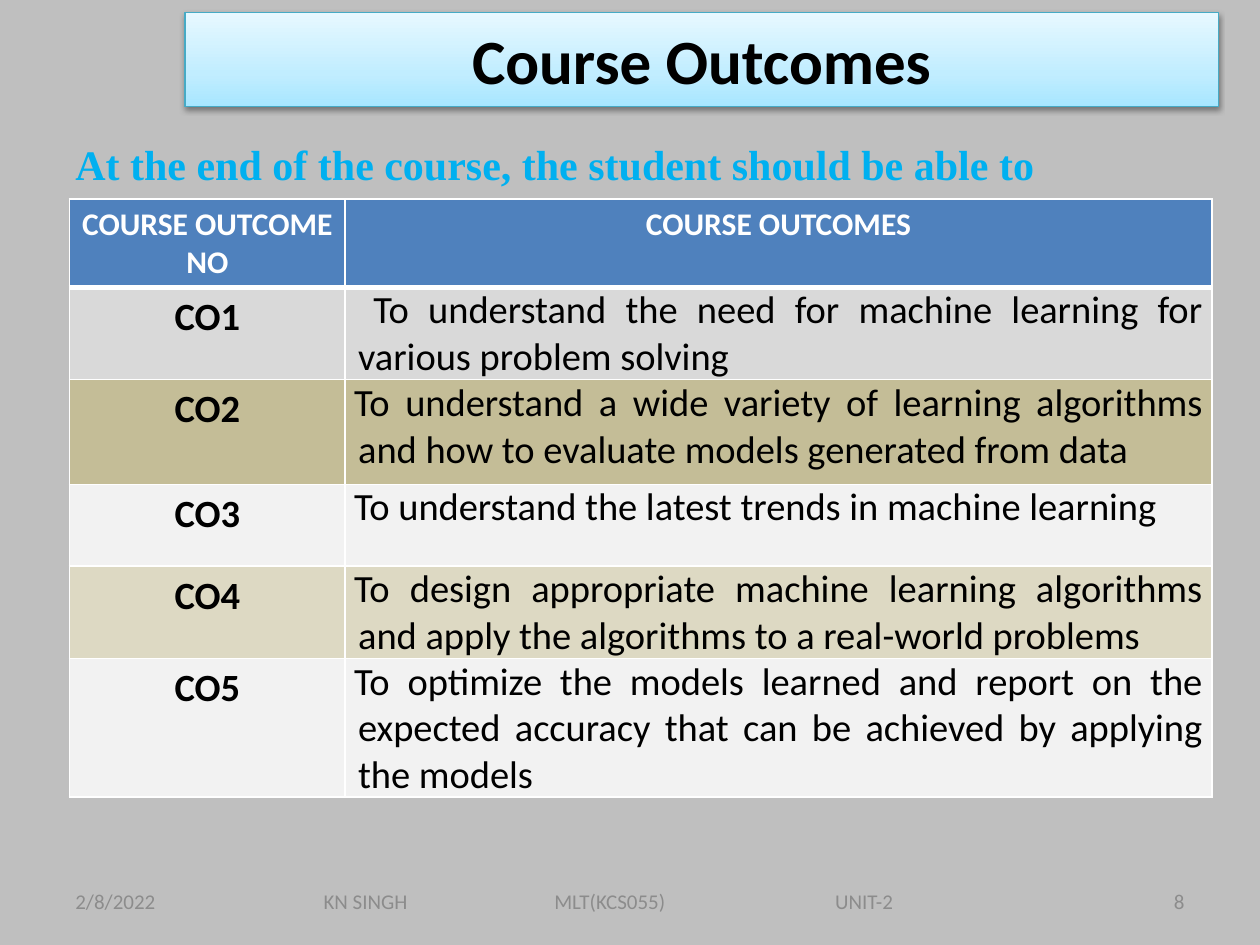
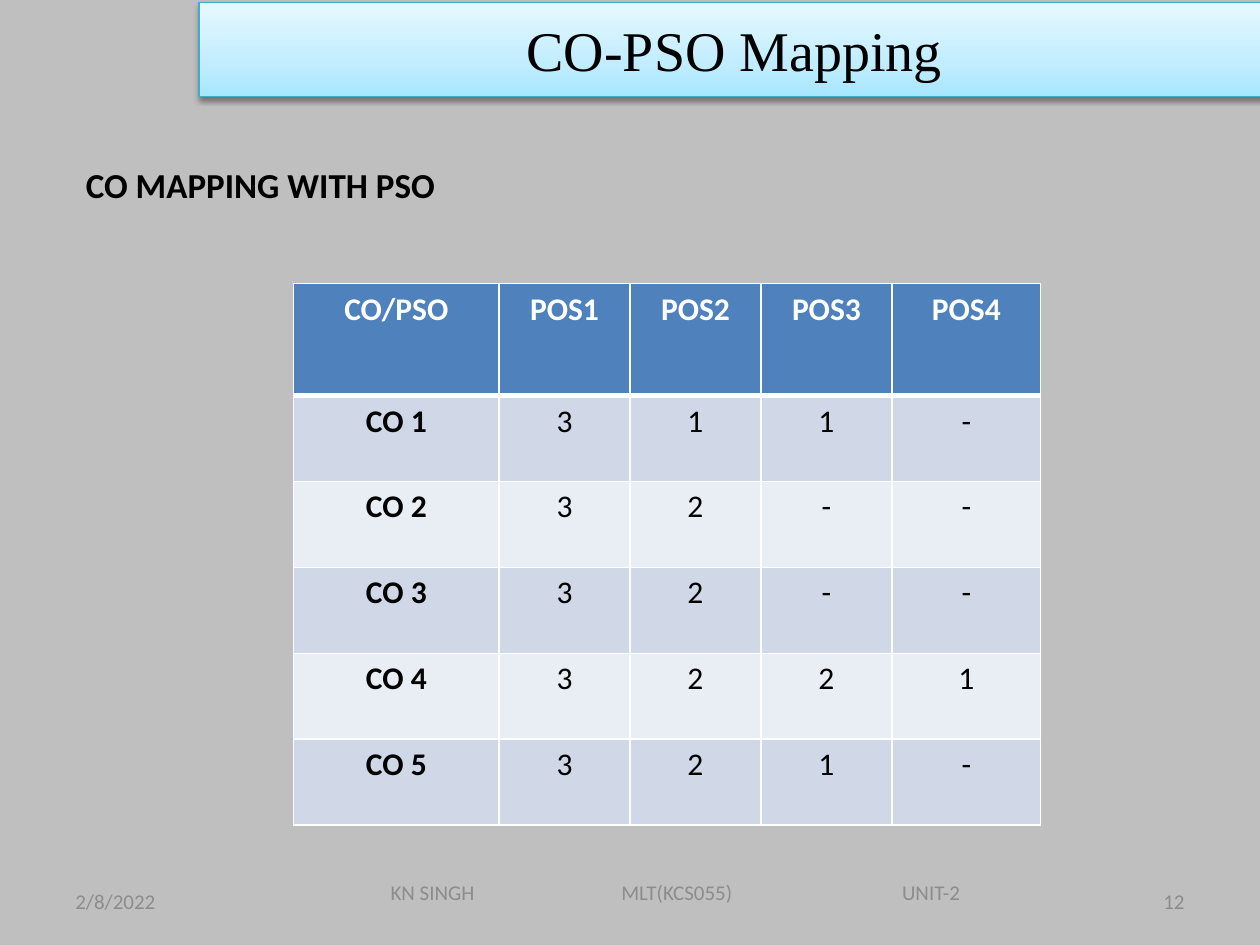
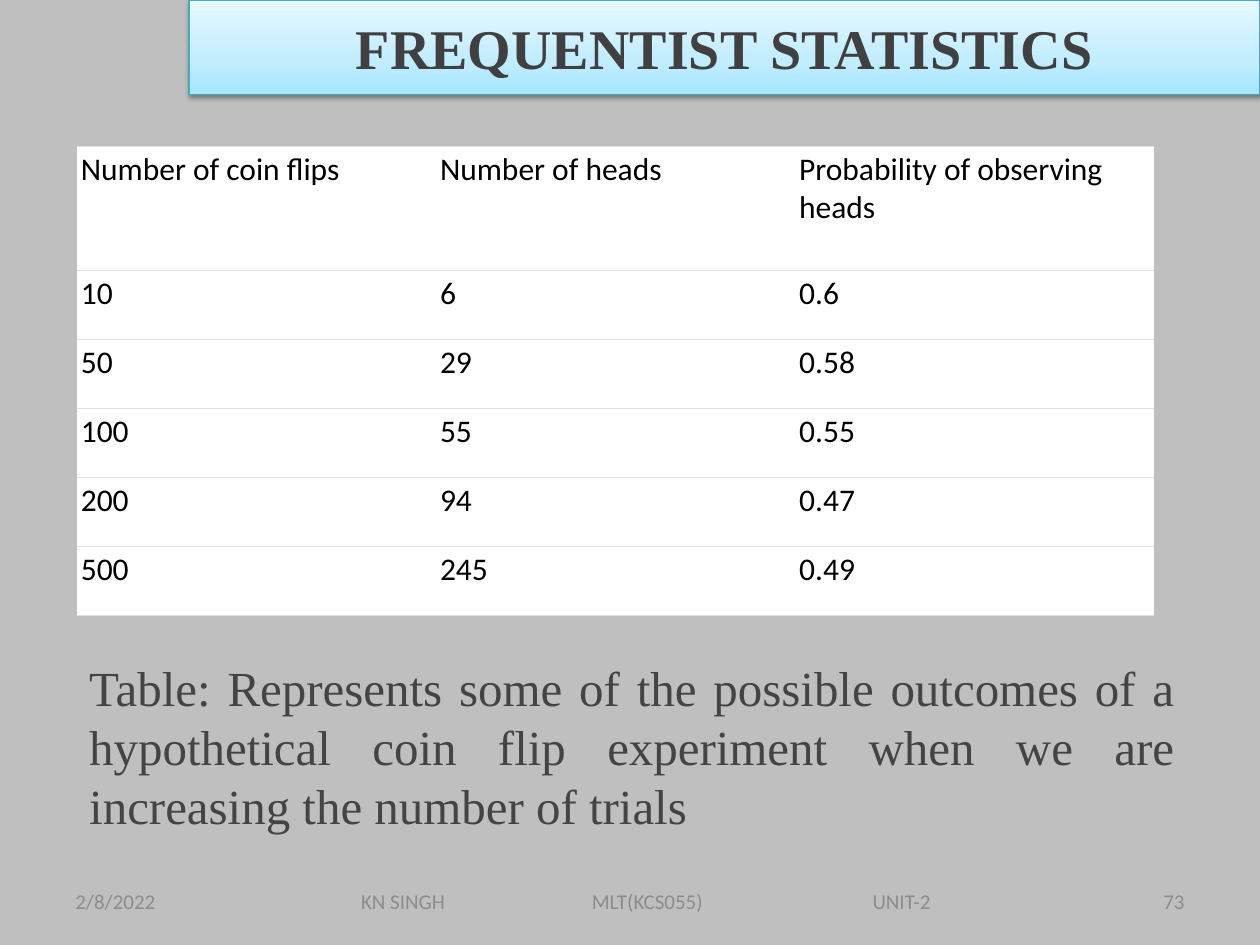
from copy import deepcopy

from pptx import Presentation
from pptx.dml.color import RGBColor
from pptx.enum import shapes, text
from pptx.oxml import parse_xml
from pptx.oxml.ns import nsdecls, qn
from pptx.util import Cm, Pt

# Shared look
BACKDROP = RGBColor(0xBF, 0xBF, 0xBF)
BLACK = RGBColor(0, 0, 0)
WHITE = RGBColor(0xFF, 0xFF, 0xFF)
FOOTER_GREY = RGBColor(0x8C, 0x8C, 0x8C)
TITLE_GREY = RGBColor(0x40, 0x40, 0x41)
CAPTION_GREY = RGBColor(0x44, 0x44, 0x44)
SKY = RGBColor(0x00, 0xB0, 0xF0)
BAND_LINE = RGBColor(0x46, 0xAA, 0xC5)
BAND_STOPS = [(0, RGBColor(0xA7, 0xE6, 0xFF)),
              (0.35, RGBColor(0xC1, 0xED, 0xFF)),
              (1, RGBColor(0xE7, 0xF8, 0xFF))]
HEADER_BLUE = RGBColor(0x4F, 0x81, 0xBD)
BAND_DARK = RGBColor(0xD0, 0xD8, 0xE8)
BAND_LIGHT = RGBColor(0xE9, 0xED, 0xF4)
RULE_GREY = RGBColor(0xDE, 0xE2, 0xE6)
SILVER = RGBColor(0xD9, 0xD9, 0xD9)
KHAKI = RGBColor(0xC4, 0xBD, 0x97)
PALE = RGBColor(0xF2, 0xF2, 0xF2)
SAND = RGBColor(0xDD, 0xD9, 0xC3)

SANS, SERIF = "Calibri", "Times New Roman"
LEFT, CENTER, RIGHT, JUSTIFY = (text.PP_ALIGN.LEFT, text.PP_ALIGN.CENTER,
                                text.PP_ALIGN.RIGHT, text.PP_ALIGN.JUSTIFY)

# Footer: three parts at fixed offsets, centred as a group (cm)
FOOTER_PARTS = ["KN SINGH", "MLT(KCS055)", "UNIT-2"]
FOOTER_TABS = [4.65, 10.31]
FOOTER_WIDTH = 11.48

OUTCOMES = [
    ("CO1", " To understand the need for machine learning for various problem solving", SILVER),
    ("CO2", "To understand a wide variety of learning algorithms and how to evaluate "
            "models generated from data", KHAKI),
    ("CO3", "To understand the latest trends in machine learning", PALE),
    ("CO4", "To design appropriate machine learning algorithms and apply the algorithms "
            "to a real-world problems", SAND),
    ("CO5", "To optimize the models learned and report on the expected accuracy that can "
            "be achieved by applying the models", PALE),
]
PSO_MAP = [
    ["CO/PSO", "POS1", "POS2", "POS3", "POS4"],
    ["CO 1", "3", "1", "1", "-"],
    ["CO 2", "3", "2", "-", "-"],
    ["CO 3", "3", "2", "-", "-"],
    ["CO 4", "3", "2", "2", "1"],
    ["CO 5", "3", "2", "1", "-"],
]
COIN_FLIPS = [
    ["Number of coin flips", "Number of heads", "Probability of observing heads"],
    ["10", "6", "0.6"],
    ["50", "29", "0.58"],
    ["100", "55", "0.55"],
    ["200", "94", "0.47"],
    ["500", "245", "0.49"],
]


def write(paragraph, words, size, color=BLACK, bold=False, font=SANS, align=LEFT):
    paragraph.alignment = align
    run = paragraph.add_run()
    run.text = words
    run.font.name, run.font.size, run.font.bold = font, Pt(size), bold
    run.font.color.rgb = color


def add_words(slide, box, words, size, anchor=text.MSO_ANCHOR.TOP, **style):
    frame = slide.shapes.add_textbox(*map(Cm, box)).text_frame
    frame.word_wrap = True
    frame.vertical_anchor = anchor
    write(frame.paragraphs[0], words, size, **style)
    return frame


def add_title_band(slide, box, title, size, **style):
    band = slide.shapes.add_shape(shapes.MSO_SHAPE.RECTANGLE, *map(Cm, box))
    band.line.color.rgb, band.line.width = BAND_LINE, Pt(0.75)
    # Three-stop gradient, light at the top
    band.fill.gradient()
    band.fill.gradient_angle = 90
    properties = band._element.spPr
    stop_list = properties.find(".//" + qn("a:gsLst"))
    stop_list.append(deepcopy(stop_list[0]))
    for stop, (position, color) in zip(band.fill.gradient_stops, BAND_STOPS):
        stop.position, stop.color.rgb = position, color
    # Soft shadow below
    band.shadow.inherit = False
    properties.find(qn("a:effectLst")).append(parse_xml(
        f'<a:outerShdw {nsdecls("a")} blurRad="{Pt(3.1)}" dist="{Pt(1.6)}" dir="5400000" '
        'rotWithShape="0"><a:srgbClr val="000000"><a:alpha val="38000"/></a:srgbClr>'
        '</a:outerShdw>'))
    band.text_frame.vertical_anchor = text.MSO_ANCHOR.MIDDLE
    write(band.text_frame.paragraphs[0], title, size, align=CENTER, **style)


def add_footer(slide, box, number):
    style = dict(size=12, color=FOOTER_GREY, anchor=text.MSO_ANCHOR.MIDDLE)
    add_words(slide, (1.27, 17.65, 5.92, 1.02), "2/8/2022", **style)
    add_words(slide, (18.21, 17.65, 5.92, 1.02), number, align=RIGHT, **style)
    frame = add_words(slide, box, "\t".join(FOOTER_PARTS), **style)
    frame.margin_left = Cm((box[2] - FOOTER_WIDTH) / 2)
    frame.margin_right = 0
    stops = "".join(f'<a:tab pos="{Cm(tab)}" algn="l"/>' for tab in FOOTER_TABS)
    frame.paragraphs[0]._p.get_or_add_pPr().append(
        parse_xml(f'<a:tabLst {nsdecls("a")}>{stops}</a:tabLst>'))


def add_grid(slide, left, top, widths, heights):
    grid = slide.shapes.add_table(len(heights), len(widths), Cm(left), Cm(top),
                                  Cm(sum(widths)), Cm(sum(heights))).table
    grid.first_row = grid.horz_banding = False
    for column, width in zip(grid.columns, widths):
        column.width = Cm(width)
    for row, height in zip(grid.rows, heights):
        row.height = Cm(height)
    return grid


def paint_cell(cell, fill, color, sides):
    """Give the cell its borders (side -> points, 0 for none), then its fill."""
    for side in "LRTB":
        paint = (f'<a:solidFill><a:srgbClr val="{color}"/></a:solidFill>'
                 if sides[side] else "<a:noFill/>")
        cell._tc.get_or_add_tcPr().append(parse_xml(
            f'<a:ln{side} {nsdecls("a")} w="{Pt(sides[side])}">{paint}</a:ln{side}>'))
    cell.fill.solid()
    cell.fill.fore_color.rgb = fill


def paint_banded(cell, row, fill):
    """White grid with a thick rule under the header row."""
    paint_cell(cell, fill, WHITE,
               {"L": 1, "R": 1, "T": 3 if row == 1 else 1, "B": 3 if row == 0 else 1})


def add_outcomes_table(slide, left, top):
    grid = add_grid(slide, left, top, [5.56, 17.47], [1.78, 1.83, 2.11, 1.65, 1.85, 2.79])
    for column, heading in enumerate(["COURSE OUTCOME NO", "COURSE OUTCOMES"]):
        cell = grid.cell(0, column)
        paint_banded(cell, 0, HEADER_BLUE)
        write(cell.text_frame.paragraphs[0], heading, 18, WHITE, True, align=CENTER)
    for row, (code, outcome, fill) in enumerate(OUTCOMES, 1):
        code_cell, outcome_cell = grid.cell(row, 0), grid.cell(row, 1)
        for cell in (code_cell, outcome_cell):
            paint_banded(cell, row, fill)
        write(code_cell.text_frame.paragraphs[0], code, 22, bold=True, align=CENTER)
        outcome_cell.margin_left = outcome_cell.margin_right = Cm(0.18)
        outcome_cell.margin_top = outcome_cell.margin_bottom = 0
        paragraph = outcome_cell.text_frame.paragraphs[0]
        indents = paragraph._p.get_or_add_pPr()
        indents.set("marL", str(Cm(0.08)))
        indents.set("indent", str(Cm(-0.76)))
        write(paragraph, outcome, 22, align=JUSTIFY)


def add_pso_table(slide, left, top):
    grid = add_grid(slide, left, top, [4.14] + [2.64] * 3 + [3.0], [2.26] + [1.73] * 5)
    for row, entries in enumerate(PSO_MAP):
        fill = HEADER_BLUE if row == 0 else BAND_DARK if row % 2 else BAND_LIGHT
        for column, entry in enumerate(entries):
            cell = grid.cell(row, column)
            paint_banded(cell, row, fill)
            write(cell.text_frame.paragraphs[0], entry, 18, BLACK if row else WHITE,
                  row == 0 or column == 0, align=CENTER)


def add_coin_table(slide, left, top):
    grid = add_grid(slide, left, top, [7.24] * 3, [2.51] + [1.39] * 5)
    for row, entries in enumerate(COIN_FLIPS):
        for column, entry in enumerate(entries):
            cell = grid.cell(row, column)
            paint_cell(cell, WHITE, RULE_GREY, {"L": 0, "R": 0, "T": 0.5, "B": 0.5})
            cell.margin_left = cell.margin_right = Cm(0.08)
            cell.margin_top = cell.margin_bottom = Cm(0.08)
            write(cell.text_frame.paragraphs[0], entry, 18)


def new_slide(deck):
    slide = deck.slides.add_slide(deck.slide_layouts[6])
    slide.background.fill.solid()
    slide.background.fill.fore_color.rgb = BACKDROP
    return slide


def outcomes_slide(deck):
    slide = new_slide(deck)
    add_title_band(slide, (3.73, 0.25, 20.83, 1.9), "Course Outcomes", 36, bold=True)
    add_words(slide, (1.27, 2.67, 20.12, 1.27),
              "At the end of the course, the student should be able to", 24,
              color=SKY, bold=True, font=SERIF)
    add_outcomes_table(slide, 1.4, 4.01)
    add_footer(slide, (1.47, 17.65, 21.59, 1.02), "8")


def mapping_slide(deck):
    slide = new_slide(deck)
    add_words(slide, (1.48, 3.18, 22.86, 13.13), "CO MAPPING WITH PSO", 20,
              bold=True, align=JUSTIFY)
    add_title_band(slide, (4.01, 0.05, 21.59, 1.9), "CO-PSO Mapping", 32, font=SERIF)
    add_pso_table(slide, 5.92, 5.72)
    add_footer(slide, (5.51, 17.58, 16.21, 0.81), "12")


def statistics_slide(deck):
    slide = new_slide(deck)
    add_coin_table(slide, 1.55, 2.95)
    add_title_band(slide, (3.81, 0, 21.59, 1.9), "FREQUENTIST STATISTICS", 32,
                   color=TITLE_GREY, bold=True, font=SERIF)
    add_words(slide, (1.55, 13.13, 22.38, 3.84),
              "Table: Represents some of the possible outcomes of a hypothetical coin flip "
              "experiment when we are increasing the number of trials", 28,
              color=CAPTION_GREY, font=SERIF, align=JUSTIFY)
    add_footer(slide, (5.08, 17.65, 15.88, 1.02), "73")


def main():
    deck = Presentation()
    deck.slide_width, deck.slide_height = Cm(25.4), Cm(19.05)
    outcomes_slide(deck)
    mapping_slide(deck)
    statistics_slide(deck)
    deck.save("out.pptx")


if __name__ == "__main__":
    main()
